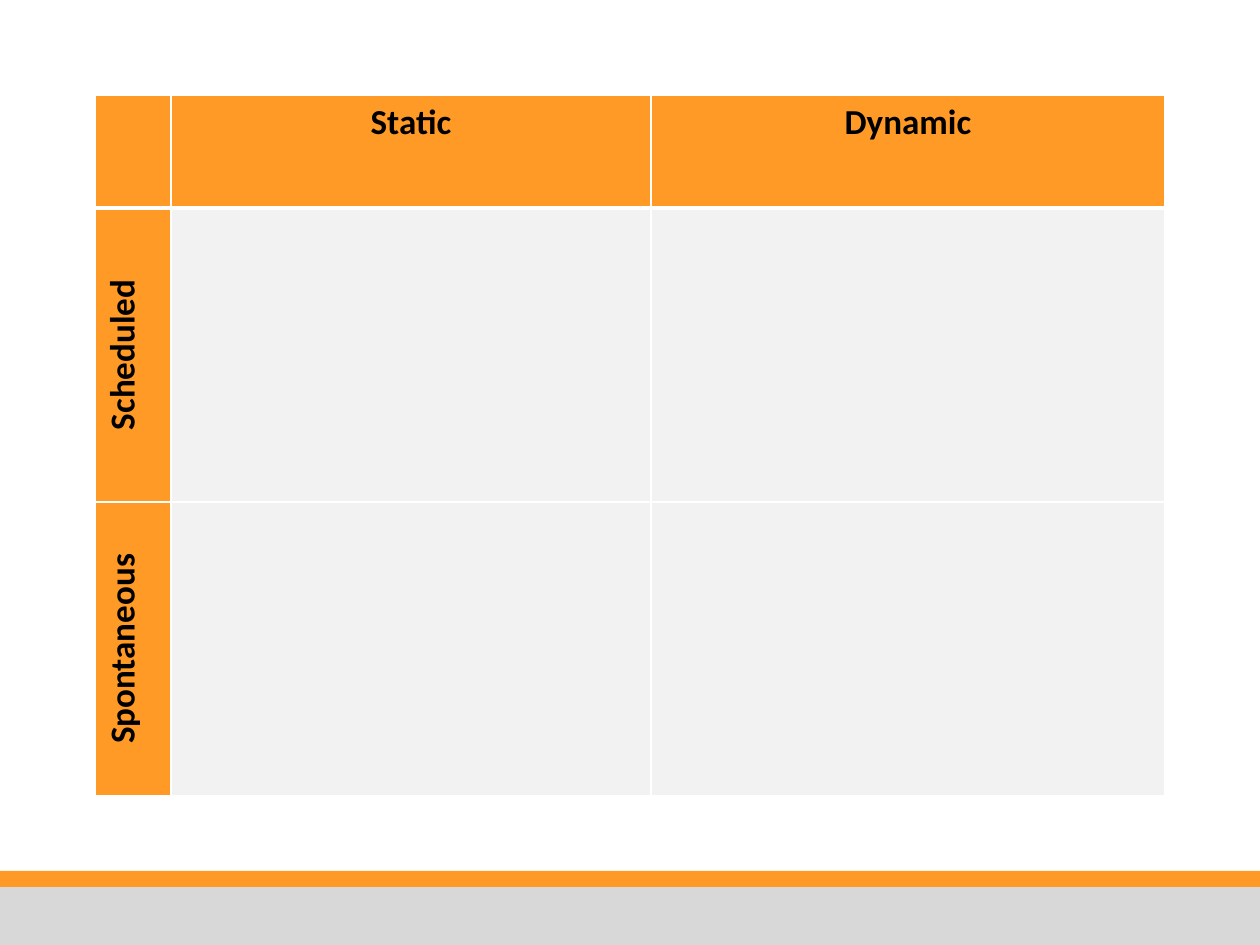
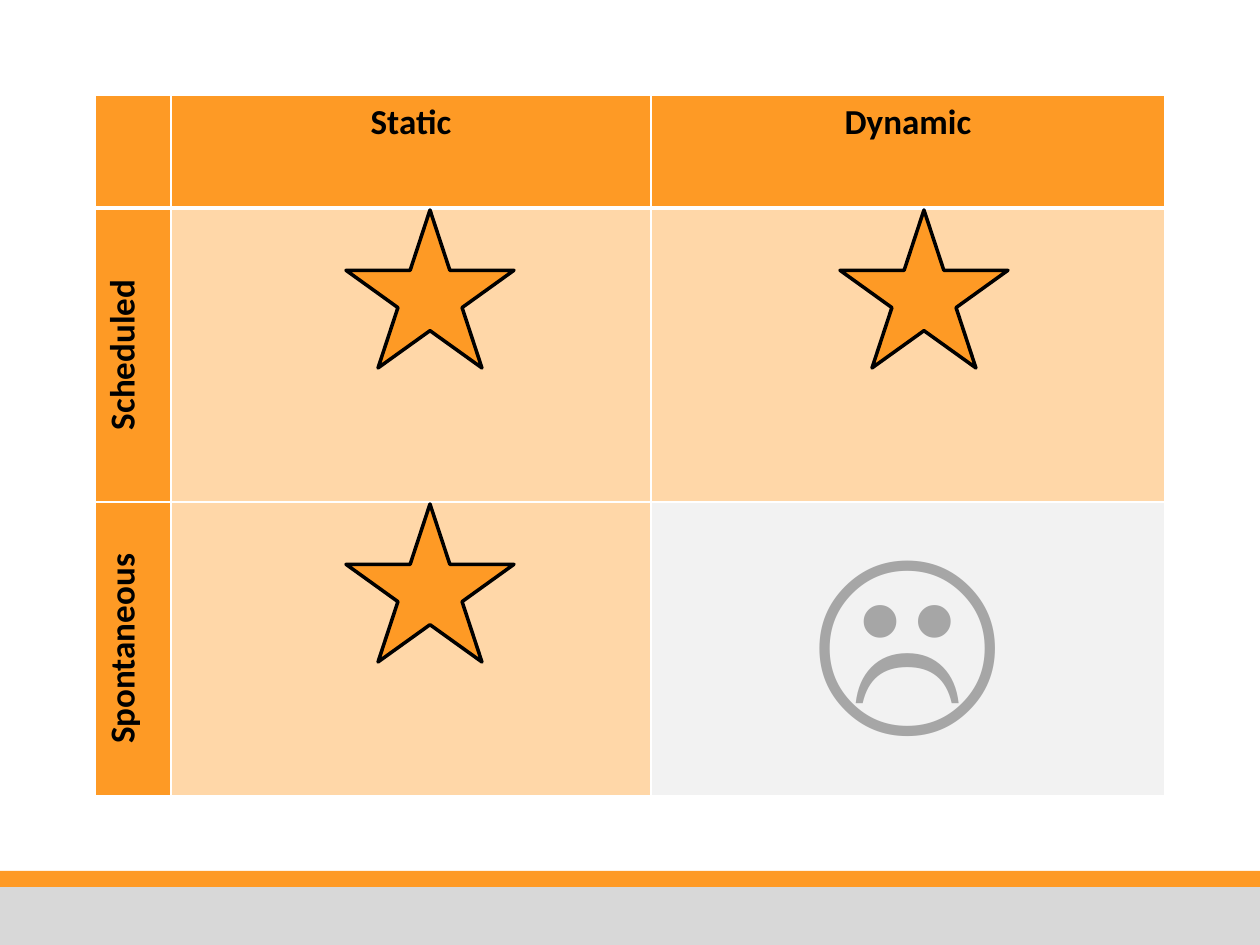
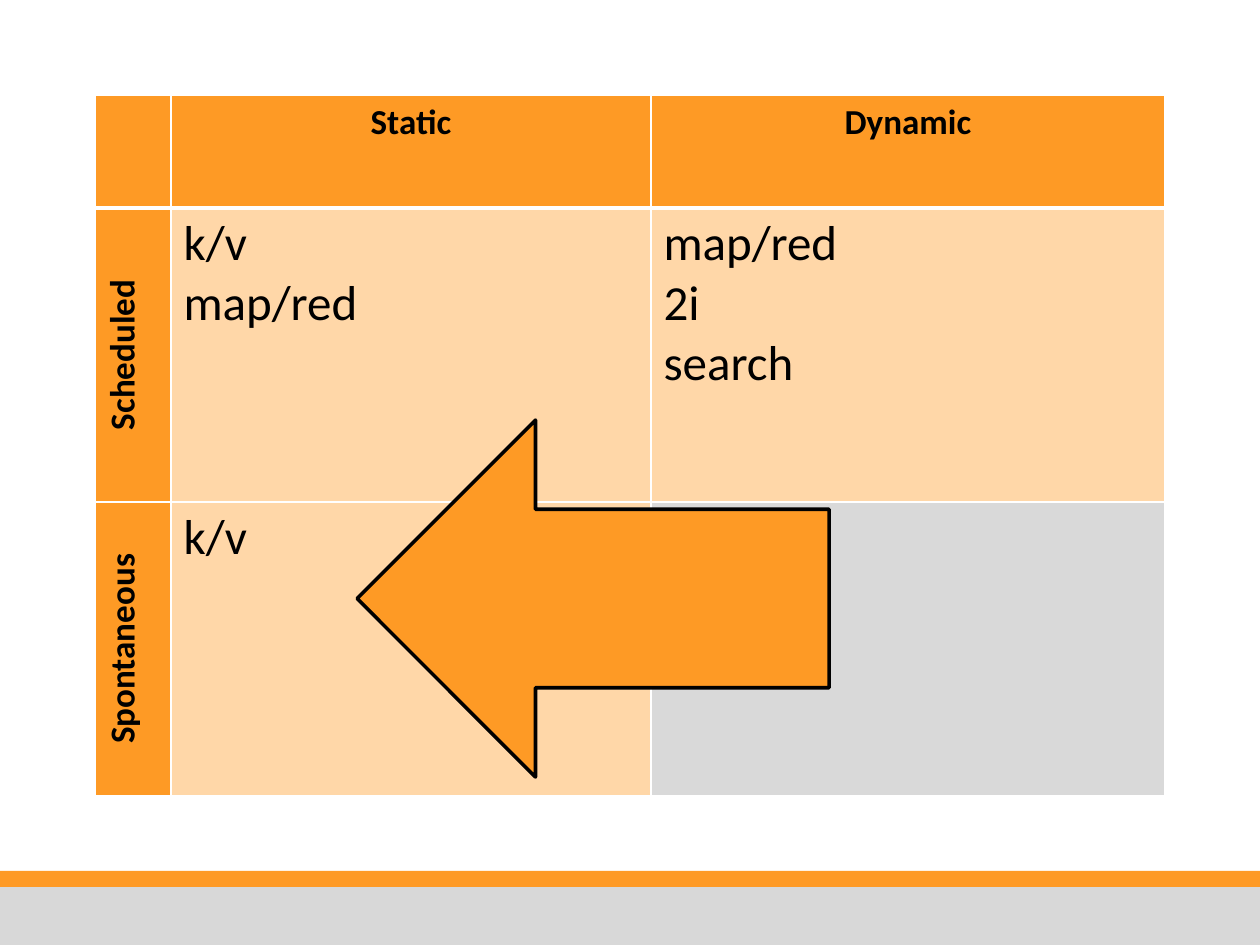
from dataclasses import dataclass

from lxml.etree import SubElement
from pptx import Presentation
from pptx.dml.color import RGBColor
from pptx.enum.shapes import MSO_SHAPE
from pptx.enum.text import PP_ALIGN
from pptx.oxml.ns import qn
from pptx.util import Emu, Pt


@dataclass(frozen=True)
class Theme:
    font: str = "Calibri"
    orange: str = "FE9A25"
    peach: str = "FFD7A8"
    pale_grey: str = "F2F2F2"
    mid_grey: str = "D9D9D9"
    band_grey: str = "D8D8D8"
    face_grey: str = "A6A6A6"
    black: str = "000000"
    white: str = "FFFFFF"
    heading_size: int = 20
    entry_size: int = 28
    face_size: int = 120
    outline: int = 2
    thin_border: int = 1
    header_border: int = 3


THEME = Theme()

# Content: (lines, fill) for each body cell, row by row
COLUMN_HEADINGS = ["Static", "Dynamic"]
ROW_HEADINGS = ["Scheduled", "Spontaneous"]
PEACH_CELL = ([], THEME.peach)
PALE_CELL = ([], THEME.pale_grey)
SLIDES = [
    {"cells": [[PALE_CELL, PALE_CELL], [PALE_CELL, PALE_CELL]]},
    {
        "cells": [[PEACH_CELL, PEACH_CELL],
                  [PEACH_CELL, (["☹"], THEME.pale_grey)]],
        "entry_format": {"size": THEME.face_size, "color": THEME.face_grey,
                         "align": PP_ALIGN.CENTER},
        "starred": [(0, 0), (0, 1), (1, 0)],
    },
    {
        "cells": [[(["k/v", "map/red"], THEME.peach),
                   (["map/red", "2i", "search"], THEME.peach)],
                  [(["k/v"], THEME.peach), ([], THEME.mid_grey)]],
        "arrow": (357, 420, 472, 357),
    },
]

# Layout in px
SCALE = 914400 / 126
SLIDE_WIDTH, SLIDE_HEIGHT = 1260, 945
BANDS = [(871, 21, THEME.orange), (887, 58, THEME.band_grey)]
TABLE_LEFT = TABLE_TOP = 95
COLUMN_WIDTHS = [76, 480, 514]
ROW_HEIGHTS = [113, 294, 294]
STAR_LEFTS = [346, 840]
STAR_WIDTH, STAR_HEIGHT, STAR_GAP = 168, 158, 2


def px(length):
    return Emu(round(length * SCALE))


def rgb(color):
    return RGBColor.from_string(color)


def write_text(text_frame, lines, size=THEME.entry_size, color=THEME.black,
               bold=False, align=PP_ALIGN.LEFT):
    for index, line in enumerate(lines):
        paragraph = text_frame.paragraphs[0] if index == 0 else text_frame.add_paragraph()
        paragraph.alignment = align
        run = paragraph.add_run()
        run.text = line
        run.font.name = THEME.font
        run.font.size = Pt(size)
        run.font.bold = bold
        run.font.color.rgb = rgb(color)


def add_filled_shape(slide, kind, box, fill, line=None):
    shape = slide.shapes.add_shape(kind, *map(px, box))
    shape.shadow.inherit = False
    shape.fill.solid()
    shape.fill.fore_color.rgb = rgb(fill)
    if line:
        shape.line.color.rgb = rgb(line)
        shape.line.width = Pt(THEME.outline)
    else:
        shape.line.fill.background()
    return shape


def move_bands_to_layout(slide, layout):
    for placeholder in list(layout.placeholders):
        placeholder.element.getparent().remove(placeholder.element)
    for top, height, fill in BANDS:
        band = add_filled_shape(slide, MSO_SHAPE.RECTANGLE,
                                (0, top, SLIDE_WIDTH, height), fill)
        layout.shapes.element.append(band.element)


def style_cell(cell, fill, row):
    # Borders must precede the fill in the cell properties
    properties = cell._tc.get_or_add_tcPr()
    thick_side = {0: "lnB", 1: "lnT"}.get(row)
    for side in ("lnL", "lnR", "lnT", "lnB"):
        width = THEME.header_border if side == thick_side else THEME.thin_border
        border = SubElement(properties, qn(f"a:{side}"), w=str(Pt(width)))
        border_fill = SubElement(border, qn("a:solidFill"))
        SubElement(border_fill, qn("a:srgbClr"), val=THEME.white)
    cell.fill.solid()
    cell.fill.fore_color.rgb = rgb(fill)


def add_matrix(slide, cells, entry_format):
    table = slide.shapes.add_table(
        len(ROW_HEIGHTS), len(COLUMN_WIDTHS), px(TABLE_LEFT), px(TABLE_TOP),
        px(sum(COLUMN_WIDTHS)), px(sum(ROW_HEIGHTS))).table
    table.horz_banding = False
    for column, width in zip(table.columns, COLUMN_WIDTHS):
        column.width = px(width)
    for row, height in zip(table.rows, ROW_HEIGHTS):
        row.height = px(height)

    # Headings and body share one grid of (lines, fill)
    grid = [[([], THEME.orange)] + [([name], THEME.orange) for name in COLUMN_HEADINGS]]
    grid += [[([name], THEME.orange)] + body for name, body in zip(ROW_HEADINGS, cells)]
    heading_format = {"size": THEME.heading_size, "bold": True, "align": PP_ALIGN.CENTER}
    for row, entries in enumerate(grid):
        for column, (lines, fill) in enumerate(entries):
            cell = table.cell(row, column)
            style_cell(cell, fill, row)
            is_heading = row == 0 or column == 0
            write_text(cell.text_frame, lines,
                       **(heading_format if is_heading else entry_format))
            if row and column == 0:
                cell._tc.get_or_add_tcPr().set("vert", "vert270")


def main():
    presentation = Presentation()
    presentation.slide_width = px(SLIDE_WIDTH)
    presentation.slide_height = px(SLIDE_HEIGHT)
    blank = presentation.slide_layouts[6]

    for index, content in enumerate(SLIDES):
        slide = presentation.slides.add_slide(blank)
        if index == 0:
            move_bands_to_layout(slide, blank)
        add_matrix(slide, content["cells"], content.get("entry_format", {}))

        # Stars on the supported combinations
        for row, column in content.get("starred", []):
            top = TABLE_TOP + sum(ROW_HEIGHTS[:row + 1]) + STAR_GAP
            add_filled_shape(slide, MSO_SHAPE.STAR_5_POINT,
                             (STAR_LEFTS[column], top, STAR_WIDTH, STAR_HEIGHT),
                             THEME.orange, line=THEME.black)

        # Arrow from dynamic to static
        if "arrow" in content:
            add_filled_shape(slide, MSO_SHAPE.LEFT_ARROW, content["arrow"],
                             THEME.orange, line=THEME.black)

    presentation.save("out.pptx")


if __name__ == "__main__":
    main()
